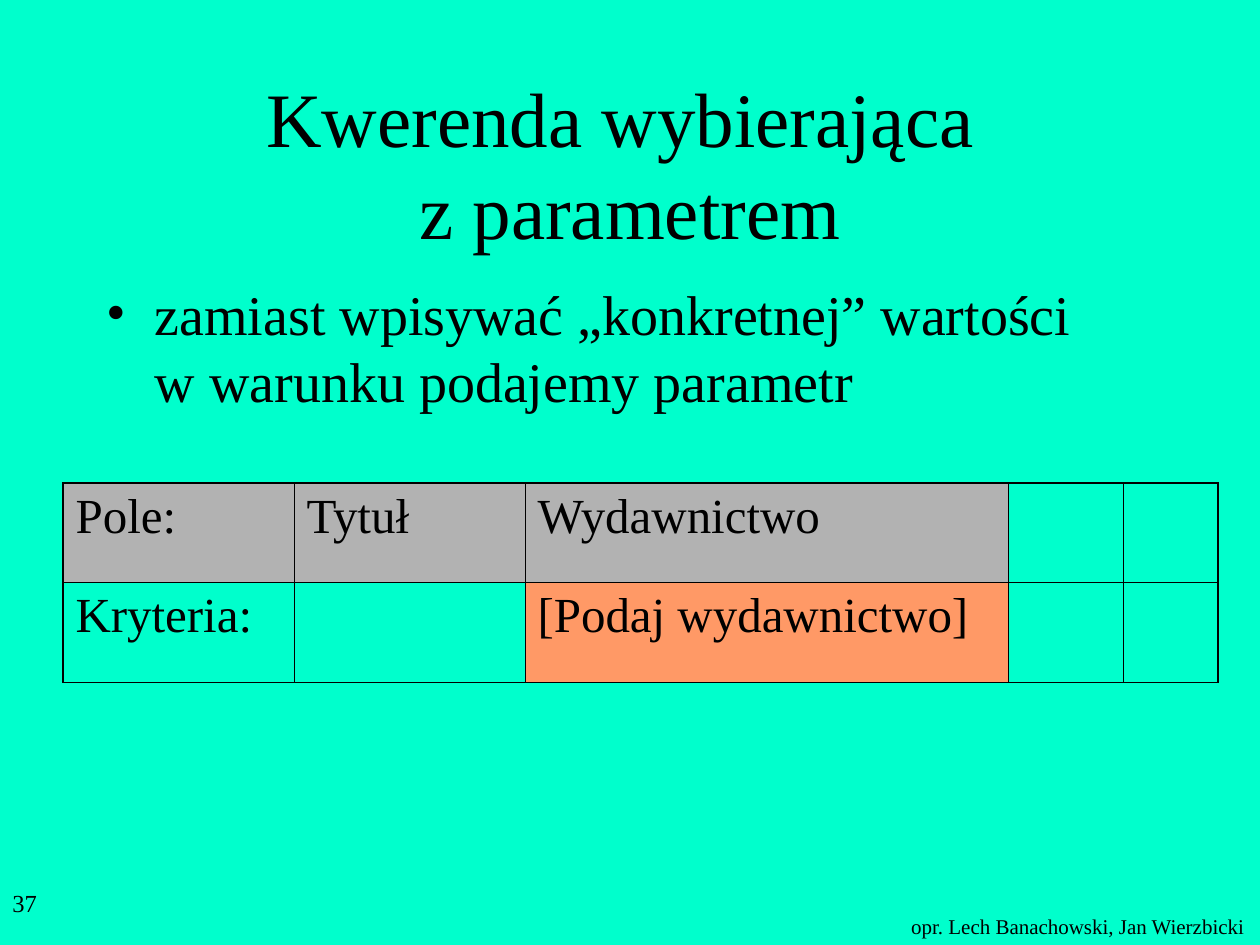
from lxml.etree import SubElement
from pptx import Presentation
from pptx.dml.color import RGBColor as RGB
from pptx.enum.text import MSO_ANCHOR as ANCHOR, PP_ALIGN as ALIGN
from pptx.oxml.ns import qn
from pptx.util import Inches, Pt

COLORS = {"page": "00FFCC", "ink": "000000", "head": "B2B2B2", "param": "FF9966"}
FONT = "Times New Roman"
UNIT = Inches(10) // 120
THIN, THICK = Pt(0.45), Pt(1.08)
COLUMNS = (22, 22, 46, 11, 9)
ROWS = (("Pole:", "Tytuł", "Wydawnictwo", "", ""),
        ("Kryteria:", "", "[Podaj wydawnictwo]", "", ""))
FILLS = (("head", "head", "head", None, None),
         (None, None, "param", None, None))


def grid(*cells):
    """Turn grid units, 120 across and 90 down, into lengths."""
    return [int(n * UNIT) for n in cells]


def write(tf, text, size, align=ALIGN.LEFT, bullet=None, anchor=None, wrap=True):
    """Write text with its line breaks into one formatted paragraph."""
    tf.word_wrap = wrap
    if anchor is not None:
        tf.vertical_anchor = anchor
    p = tf.paragraphs[0]
    p.alignment = align
    if bullet:
        pPr = p._p.get_or_add_pPr()
        pPr.set("marL", str(Inches(0.38)))
        pPr.set("indent", str(-Inches(0.38)))
        SubElement(pPr, qn("a:buFont"), typeface=FONT)
        SubElement(pPr, qn("a:buChar"), char=bullet)
    for i, line in enumerate(text.split("\n")):
        if i:
            p.add_line_break()
        r = p.add_run()
        r.text = line
        r.font.size, r.font.name = Pt(size), FONT
        r.font.color.rgb = RGB.from_string(COLORS["ink"])


def add_text(s, box, text, size, **fmt):
    """Place a text box on the grid."""
    write(s.shapes.add_textbox(*grid(*box)).text_frame, text, size, **fmt)


def border(cell, side, width):
    """Draw one edge of a table cell."""
    ln = SubElement(cell._tc.get_or_add_tcPr(), qn(f"a:ln{side}"), w=str(width))
    SubElement(SubElement(ln, qn("a:solidFill")), qn("a:srgbClr"), val=COLORS["ink"])


def add_query(s, box):
    """Place the query design table, with a heavier outer frame."""
    table = s.shapes.add_table(len(ROWS), len(COLUMNS), *grid(*box)).table
    table.first_row = table.horz_banding = False
    for column, share in zip(table.columns, COLUMNS):
        column.width = int(box[2] * share / sum(COLUMNS) * UNIT)
    for i, row in enumerate(ROWS):
        for j, text in enumerate(row):
            cell = table.cell(i, j)
            outer = {"L": j == 0, "R": j == len(row) - 1,
                     "T": i == 0, "B": i == len(ROWS) - 1}
            for side, is_outer in outer.items():
                border(cell, side, THICK if is_outer else THIN)
            if FILLS[i][j]:
                cell.fill.solid()
                cell.fill.fore_color.rgb = RGB.from_string(COLORS[FILLS[i][j]])
            else:
                cell.fill.background()
            if text:
                write(cell.text_frame, text, 28)


def add_footer(s, box):
    """Place the page number and the authors along the bottom."""
    x, y, w, h = box
    add_text(s, (x, y, 25, h), "37", 14)
    add_text(s, (x + w - 34.4, y + 2.4, 34.3, 3.6),
             "opr. Lech Banachowski, Jan Wierzbicki", 12, wrap=False)


def main():
    """Build and save the slide."""
    prs = Presentation()
    prs.slide_width, prs.slide_height = grid(120, 90)
    s = prs.slides.add_slide(prs.slide_layouts[6])
    s.background.fill.solid()
    s.background.fill.fore_color.rgb = RGB.from_string(COLORS["page"])
    add_text(s, (9, 8, 102, 15), "Kwerenda wybierająca \nz parametrem", 44,
             align=ALIGN.CENTER, anchor=ANCHOR.MIDDLE)
    add_text(s, (9, 26, 102, 16),
             "zamiast wpisywać „konkretnej” wartości \nw warunku podajemy parametr",
             32, bullet="•")
    add_query(s, (6, 46, 110, 19))
    add_footer(s, (0, 84, 120, 6))
    prs.save("out.pptx")


if __name__ == "__main__":
    main()
